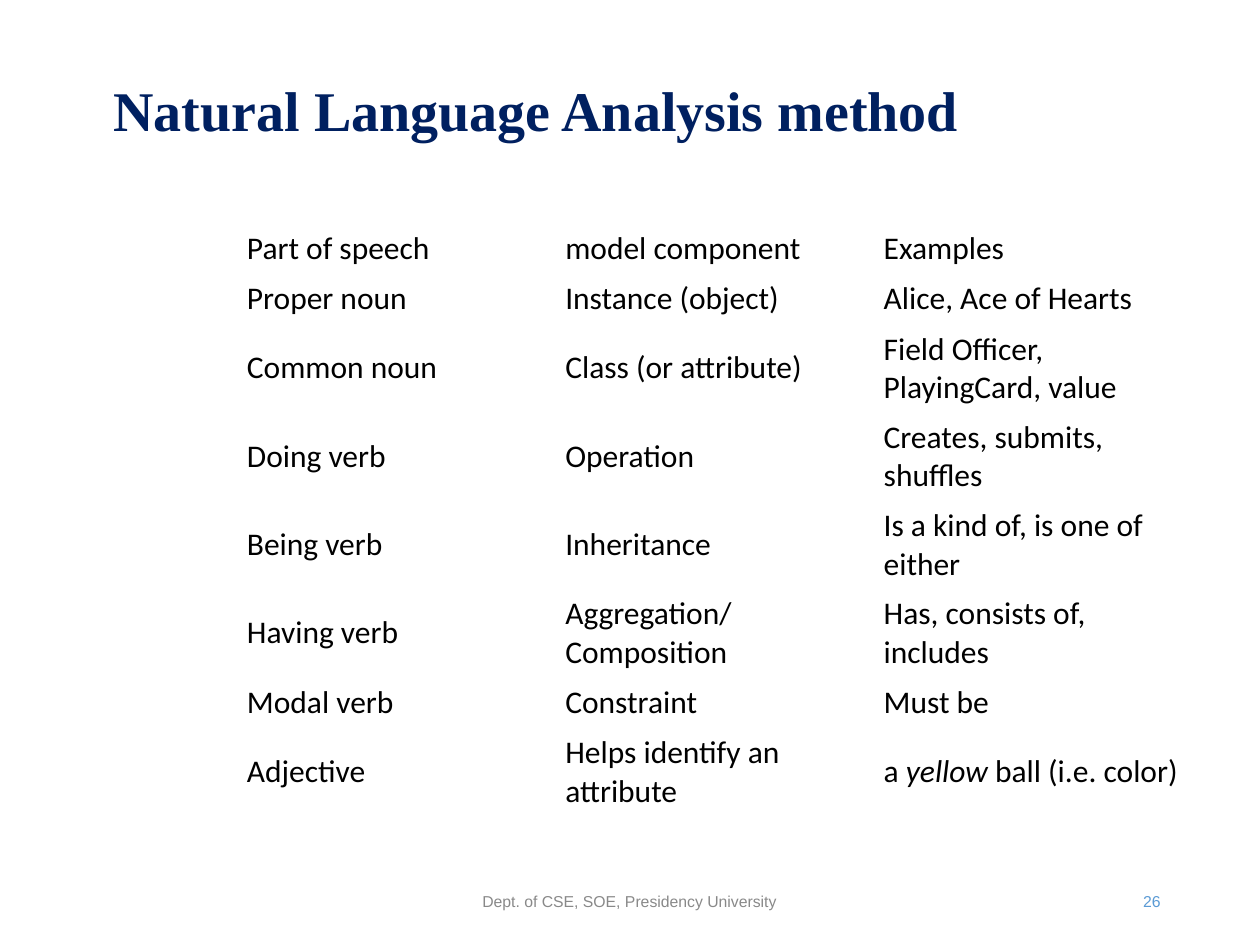
from dataclasses import dataclass

from pptx import Presentation
from pptx import util as u
from pptx.dml.color import RGBColor
from pptx.enum import text


@dataclass(frozen=True)
class Style:
    font: str
    size: int
    color: str
    bold: bool = False


@dataclass(frozen=True)
class Theme:
    title: Style = Style("Times New Roman", 32, "002060", True)
    body: Style = Style("Calibri", 18, "000000")
    footer: Style = Style("Arial", 9, "898989")
    number: Style = Style("Arial", 9, "5B9BD5")
    cell_fill: str = "FFFFFF"


THEME = Theme()
WIDTH, HEIGHT = u.Inches(10), u.Inches(7.5)
COLUMNS, ROWS = 100, 75
TABLE_COLUMN, LINE, DOUBLE_LINE = 25.27, 3.6, 6.6

SPEECH_ROWS = [
    ("Part of speech", "model component", "Examples", LINE),
    ("Proper noun", "Instance (object)", "Alice, Ace of Hearts", LINE),
    ("Common noun", "Class (or attribute)", "Field Officer, PlayingCard, value", DOUBLE_LINE),
    ("Doing verb", "Operation", "Creates, submits, shuffles", DOUBLE_LINE),
    ("Being verb", "Inheritance", "Is a kind of, is one of either", DOUBLE_LINE),
    ("Having verb", "Aggregation/Composition", "Has, consists of, includes", DOUBLE_LINE),
    ("Modal verb", "Constraint", "Must be", LINE),
    ("Adjective", "Helps identify an attribute", "a *yellow* ball (i.e. color)", DOUBLE_LINE),
]


def across(columns):
    return round(WIDTH * columns / COLUMNS)


def down(rows):
    return round(HEIGHT * rows / ROWS)


def write(p, content, style):
    for i, part in enumerate(content.split("*")):
        r = p.add_run()
        r.text = part
        r.font.name = style.font
        r.font.size = u.Pt(style.size)
        r.font.bold = style.bold
        r.font.italic = i % 2 == 1
        r.font.color.rgb = RGBColor.from_string(style.color)


def set_margins(box, x, y):
    box.margin_left = box.margin_right = u.Inches(x)
    box.margin_top = box.margin_bottom = u.Inches(y)
    box.vertical_anchor = text.MSO_ANCHOR.MIDDLE


def add_text(s, place, content, style, align, margins=(0.1, 0.05), spacing=1.0):
    x, y, w, h = place
    tf = s.shapes.add_textbox(across(x), down(y), across(w), down(h)).text_frame
    tf.word_wrap = True
    set_margins(tf, *margins)
    p = tf.paragraphs[0]
    p.alignment = align
    p.line_spacing = spacing
    write(p, content, style)


def add_speech_table(s, x, y):
    count = len(SPEECH_ROWS[0]) - 1
    height = sum(row[-1] for row in SPEECH_ROWS)
    table = s.shapes.add_table(len(SPEECH_ROWS), count, across(x), down(y),
                               across(TABLE_COLUMN * count), down(height)).table
    table.first_row = table.horz_banding = False
    for column in table.columns:
        column.width = across(TABLE_COLUMN)
    for row, (*contents, row_height) in zip(table.rows, SPEECH_ROWS):
        row.height = down(row_height)
        for cell, content in zip(row.cells, contents):
            cell.fill.solid()
            cell.fill.fore_color.rgb = RGBColor.from_string(THEME.cell_fill)
            set_margins(cell, 0.03, 0.05)
            write(cell.text_frame.paragraphs[0], content, THEME.body)


def main():
    prs = Presentation()
    prs.slide_width, prs.slide_height = WIDTH, HEIGHT
    s = prs.slides.add_slide(prs.slide_layouts[6])
    align = text.PP_ALIGN
    add_text(s, (8.3, 6.3, 69.1, 5.4), "Natural Language Analysis method",
             THEME.title, align.LEFT, (0.07, 0.03), 0.9)
    add_text(s, (33.1, 69.5, 33.7, 4), "Dept. of CSE, SOE, Presidency University",
             THEME.footer, align.CENTER)
    add_text(s, (70.6, 69.5, 22.5, 4), "26", THEME.number, align.RIGHT)
    add_speech_table(s, 19.3, 17.7)
    prs.save("out.pptx")


if __name__ == "__main__":
    main()
